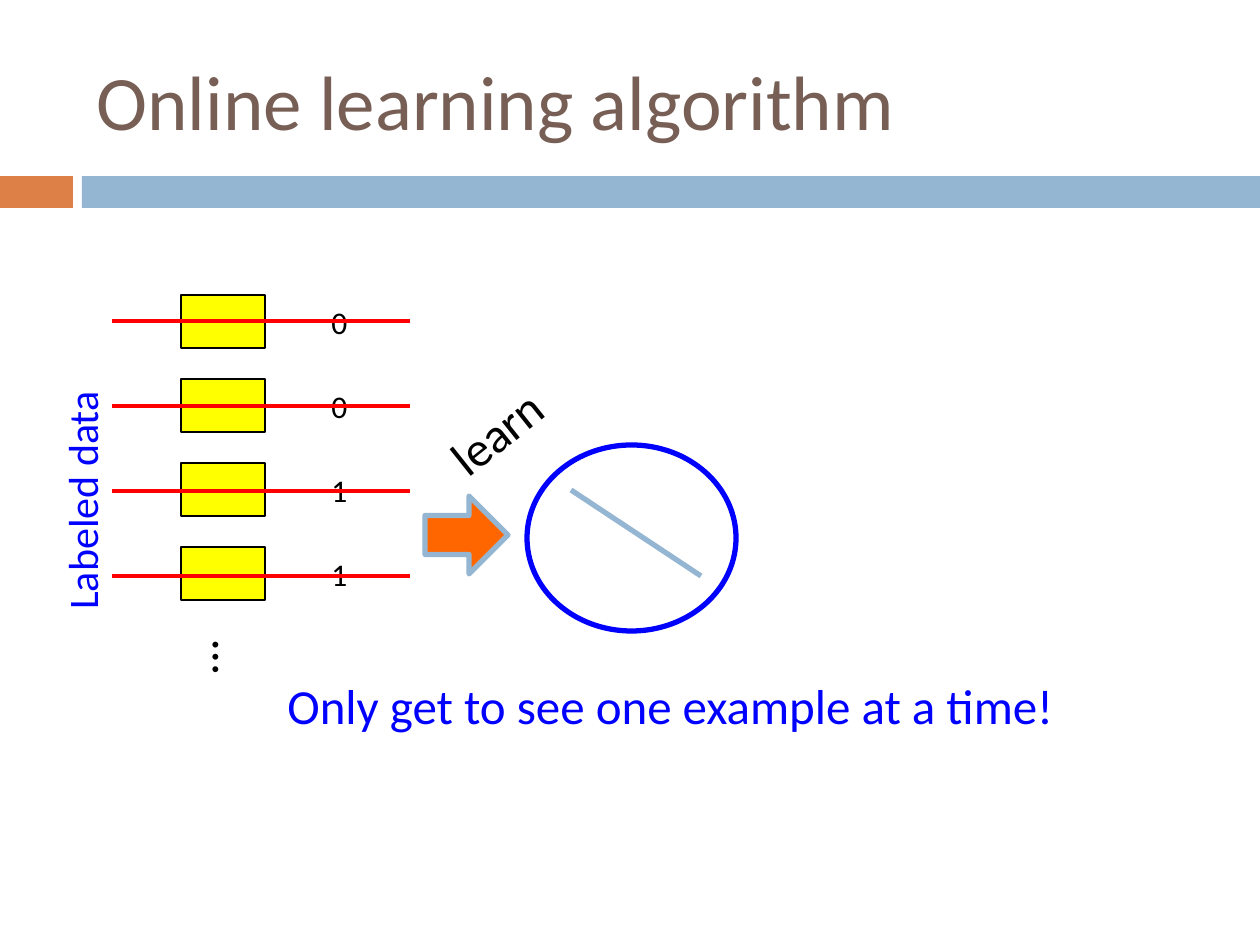
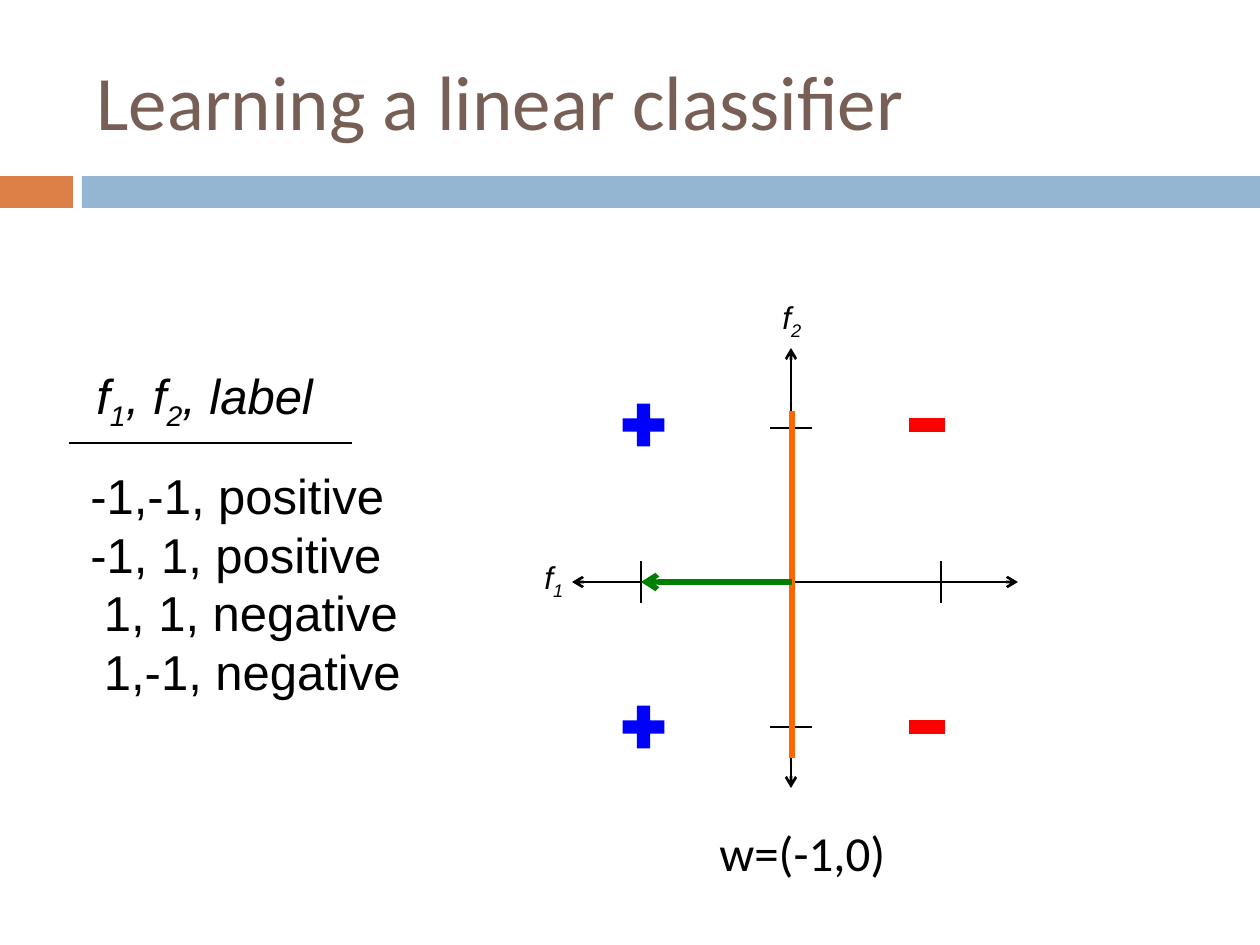
from dataclasses import dataclass

from lxml import etree
from pptx import Presentation
from pptx.dml.color import RGBColor
from pptx.enum.shapes import MSO_CONNECTOR, MSO_SHAPE
from pptx.enum.text import MSO_ANCHOR, MSO_AUTO_SIZE, PP_ALIGN
from pptx.oxml.ns import qn
from pptx.util import Emu, Pt

STRAIGHT = MSO_CONNECTOR.STRAIGHT
RECTANGLE, OVAL = MSO_SHAPE.RECTANGLE, MSO_SHAPE.OVAL
RIGHT_ARROW = MSO_SHAPE.RIGHT_ARROW
PLUS, MINUS = MSO_SHAPE.MATH_PLUS, MSO_SHAPE.MATH_MINUS
MIDDLE, LEFT = MSO_ANCHOR.MIDDLE, PP_ALIGN.LEFT
FIT_SHAPE = MSO_AUTO_SIZE.SHAPE_TO_FIT_TEXT

PX_PER_INCH = 126
SLIDE_SIZE = (1260, 945)


@dataclass(frozen=True)
class Theme:
    brown: str = "775F55"
    steel: str = "94B6D2"
    rust: str = "DD8047"
    black: str = "000000"
    blue: str = "0000FF"
    red: str = "FF0000"
    yellow: str = "FFFF00"
    orange: str = "FF6600"
    green: str = "008000"
    sans: str = "Calibri"
    math: str = "Arial"
    title_size: int = 44
    large: int = 28
    medium: int = 24
    small: int = 18
    thin: float = 0.75
    axis: float = 1.5
    strike: float = 2.25
    thick: float = 3


THEME = Theme()

# Shared frame: left, top, width, height
TITLE_BOX = (84, 32, 1124, 136)
BANDS = [((0, 176, 73, 32), THEME.rust), ((82, 176, 1178, 32), THEME.steel)]

# Content of the online learning slide
ONLINE_TITLE = "Online learning algorithm"
EXAMPLE_LABELS = ["0", "0", "1", "1"]
# text, box, rotation, size, colour
ONLINE_CAPTIONS = [
    ("learn", (433, 396, 127, 72), 321.5, THEME.large, THEME.black),
    ("Only get to see one example at a time!", (275, 669, 801, 72), 0, THEME.large, THEME.blue),
    ("Labeled data", (-54, 455, 271, 63), 270, THEME.medium, THEME.blue),
    ("…", (195, 629, 74, 72), 90, THEME.large, THEME.black),
]

# Content of the linear classifier slide; True marks a subscript
CLASSIFIER_TITLE = "Learning a linear classifier"
F1 = [("f", False), ("1", True)]
F2 = [("f", False), ("2", True)]
TABLE_HEADING = F1 + [(", ", False)] + F2 + [(", label", False)]
TRAINING_DATA = [
    (-1, -1, "positive"),
    (-1, 1, "positive"),
    (1, 1, "negative"),
    (1, -1, "negative"),
]
WEIGHTS = "w=(-1,0)"
# label: mark shape, colour, left, width
MARKS = {
    "positive": (PLUS, THEME.blue, 615, 57),
    "negative": (MINUS, THEME.red, 902, 50),
}


def px(length):
    return Emu(round(length * 914400 / PX_PER_INCH))


def place(shape, box):
    shape.left, shape.top, shape.width, shape.height = map(px, box)


def style_run(run, size, color, font=THEME.sans, italic=None):
    run.font.name = font
    run.font.size = Pt(size)
    run.font.italic = italic
    run.font.color.rgb = RGBColor.from_string(color)


def add_figure(slide, preset, box, fill=None, line=None, weight=THEME.thin):
    shape = slide.shapes.add_shape(preset, *map(px, box))
    shape.shadow.inherit = False
    if fill:
        shape.fill.solid()
        shape.fill.fore_color.rgb = RGBColor.from_string(fill)
    else:
        shape.fill.background()
    if line:
        shape.line.color.rgb = RGBColor.from_string(line)
        shape.line.width = Pt(weight)
    else:
        shape.line.fill.background()
    return shape


def add_line(slide, start, end, color, weight, arrows=()):
    connector = slide.shapes.add_connector(STRAIGHT, *map(px, start + end))
    connector.line.color.rgb = RGBColor.from_string(color)
    connector.line.width = Pt(weight)
    properties = connector.element.spPr
    outline = properties.find(qn("a:ln"))
    for arrow in arrows:
        etree.SubElement(outline, qn(f"a:{arrow}"), type="arrow")
    etree.SubElement(properties, qn("a:effectLst"))


def add_text_box(slide, box, rotation=0):
    shape = slide.shapes.add_textbox(*map(px, box))
    shape.rotation = rotation
    shape.text_frame.word_wrap = False
    shape.text_frame.auto_size = FIT_SHAPE
    return shape.text_frame


def add_label(slide, text, box, size, color=THEME.black, rotation=0, font=THEME.sans):
    frame = add_text_box(slide, box, rotation)
    frame.text = text
    for paragraph in frame.paragraphs:
        for run in paragraph.runs:
            style_run(run, size, color, font)


def add_formula(slide, parts, box, size):
    paragraph = add_text_box(slide, box).paragraphs[0]
    for text, subscript in parts:
        run = paragraph.add_run()
        run.text = text
        style_run(run, size, THEME.black, THEME.math, italic=True)
        if subscript:
            run.font._element.set("baseline", "-25000")


def prepare_layout(layout, slide):
    """Move the title and put the bands behind everything on the layout."""
    place(layout.placeholders[0], TITLE_BOX)
    for box, color in BANDS:
        band = add_figure(slide, RECTANGLE, box, color)
        layout.shapes.element.insert(2, band.element)


def add_titled_slide(presentation, layout, title):
    slide = presentation.slides.add_slide(layout)
    frame = slide.shapes.title.text_frame
    frame.text = title
    frame.vertical_anchor = MIDDLE
    frame.paragraphs[0].alignment = LEFT
    style_run(frame.paragraphs[0].runs[0], THEME.title_size, THEME.brown)
    return slide


def draw_online_learning(slide):
    # Classifier and the arrow leading to it
    add_figure(slide, OVAL, (527, 445, 209, 186), None, THEME.blue, THEME.thick)
    add_figure(slide, RIGHT_ARROW, (425, 496, 83, 78), THEME.orange, THEME.steel, THEME.thick)
    add_line(slide, (571, 490), (701, 576), THEME.steel, THEME.thick)

    # Crossed-out examples
    for row, label in enumerate(EXAMPLE_LABELS):
        offset = 84 * row
        strike_y = 321 + 85 * row
        add_figure(slide, RECTANGLE, (181, 295 + offset, 84, 53), THEME.yellow, THEME.black)
        add_label(slide, label, (319, 297 + offset, 43, 50), THEME.small)
        add_line(slide, (112, strike_y), (410, strike_y), THEME.red, THEME.strike)

    for text, box, rotation, size, color in ONLINE_CAPTIONS:
        add_label(slide, text, box, size, color, rotation)


def draw_linear_classifier(slide):
    center_x, center_y, half_tick = 791, 582, 21
    both_ends = ("headEnd", "tailEnd")

    # Axes, ticks and axis names
    add_line(slide, (center_x, 788), (center_x, 348), THEME.black, THEME.axis, both_ends)
    add_line(slide, (572, center_y), (1018, center_y), THEME.black, THEME.axis, both_ends)
    for y in (428, 727):
        add_line(slide, (center_x - half_tick, y), (center_x + half_tick, y),
                 THEME.black, THEME.axis)
    for x in (center_x - 150, center_x + 150):
        add_line(slide, (x, center_y - half_tick), (x, center_y + half_tick),
                 THEME.black, THEME.axis)
    add_formula(slide, F1, (532, 552, 52, 50), THEME.small)
    add_formula(slide, F2, (770, 292, 52, 50), THEME.small)

    # Training examples as marks
    for _, second, label in TRAINING_DATA:
        preset, color, left, width = MARKS[label]
        add_figure(slide, preset, (left, 547 - 151 * second, width, 58), color)

    # Training examples as a list
    add_formula(slide, TABLE_HEADING, (84, 359, 260, 112), THEME.large)
    add_line(slide, (69, 443), (352, 443), THEME.black, THEME.axis)
    rows = [f"{first:2d},{second:2d}, {label}" for first, second, label in TRAINING_DATA]
    add_label(slide, "\n".join(rows), (78, 459, 336, 251), THEME.large, font=THEME.math)

    # Decision boundary and weight vector
    add_line(slide, (792, 758), (792, 411), THEME.orange, THEME.thick)
    add_line(slide, (792, center_y), (641, center_y), THEME.green, THEME.thick, ("tailEnd",))
    add_label(slide, WEIGHTS, (707, 816, 200, 72), THEME.large)


def main():
    presentation = Presentation()
    presentation.slide_width, presentation.slide_height = map(px, SLIDE_SIZE)
    layout = presentation.slide_layouts.get_by_name("Title Only")

    online = add_titled_slide(presentation, layout, ONLINE_TITLE)
    prepare_layout(layout, online)
    draw_online_learning(online)

    classifier = add_titled_slide(presentation, layout, CLASSIFIER_TITLE)
    draw_linear_classifier(classifier)

    presentation.save("out.pptx")


if __name__ == "__main__":
    main()
